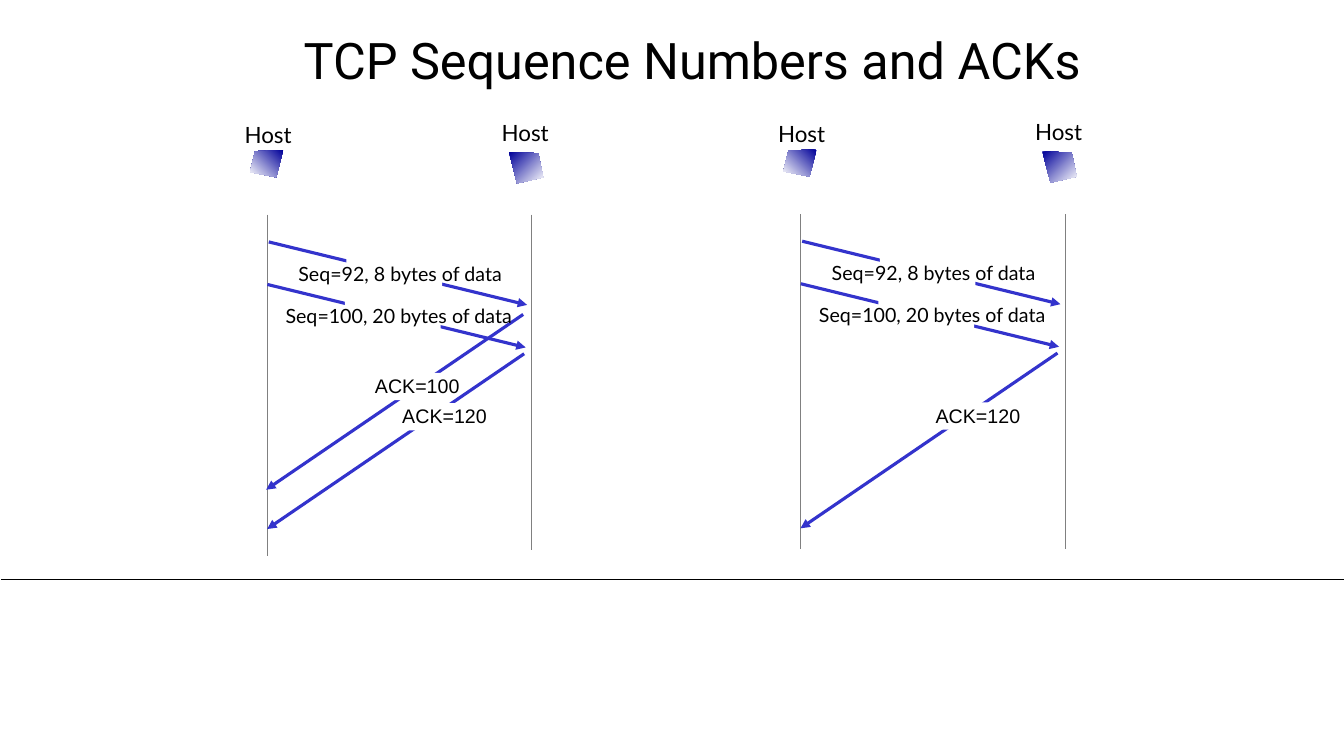
from dataclasses import dataclass

from lxml import etree
from pptx import Presentation
from pptx.dml.color import RGBColor
from pptx.enum import shapes, text
from pptx.oxml.ns import qn
from pptx.util import Pt


@dataclass(frozen=True)
class Theme:
    ink: RGBColor = RGBColor(0x00, 0x00, 0x00)
    paper: RGBColor = RGBColor(0xFF, 0xFF, 0xFF)
    lifeline: RGBColor = RGBColor(0x80, 0x80, 0x80)
    arrow: RGBColor = RGBColor(0x33, 0x33, 0xCC)
    host: RGBColor = RGBColor(0x00, 0x00, 0x99)
    title_font: str = "Roboto"
    body_font: str = "Lato"
    ack_font: str = "Arial"
    title_size: int = 36
    host_size: int = 16
    message_size: int = 14


THEME = Theme()
LABEL_H = 24

# Host icons: outline points of the left and right host in the first diagram
LEFT_HOST = [(202.3, 107.3), (182.2, 108), (178.6, 123), (197.3, 126.7)]
RIGHT_HOST = [(363.6, 108.7), (384.5, 109.4), (388.1, 126.7), (369.4, 131)]


def add_label(s, words, cx, top, w, h, font, size, wrap=False):
    """Centred text in a box whose middle is at cx."""
    sp = s.shapes.add_textbox(Pt(cx - w / 2), Pt(top), Pt(w), Pt(h))
    tf = sp.text_frame
    tf.word_wrap = wrap
    p = tf.paragraphs[0]
    p.text = words
    p.alignment = text.PP_ALIGN.CENTER
    p.font.name = font
    p.font.size = Pt(size)
    p.font.color.rgb = THEME.ink
    return tf


def add_line(s, x1, y1, x2, y2, color, width, arrow=False):
    sp = s.shapes.add_connector(
        shapes.MSO_CONNECTOR.STRAIGHT, Pt(x1), Pt(y1), Pt(x2), Pt(y2))
    sp.line.color.rgb = color
    sp.line.width = Pt(width)
    props = sp.element.spPr
    if arrow:
        etree.SubElement(props.find(qn("a:ln")), qn("a:tailEnd"), type="triangle")
    etree.SubElement(props, qn("a:effectLst"))


def add_gap(s, x, y, w, h):
    """White patch that interrupts an arrow behind its label."""
    sp = s.shapes.add_shape(
        shapes.MSO_SHAPE.RECTANGLE, Pt(x), Pt(y), Pt(w), Pt(h))
    sp.shadow.inherit = False
    sp.fill.solid()
    sp.fill.fore_color.rgb = THEME.paper
    sp.line.fill.background()


def add_host_icon(s, points, dx, dy, angle):
    corners = [(Pt(x + dx), Pt(y + dy)) for x, y in points]
    outline = s.shapes.build_freeform(*corners[0])
    outline.add_line_segments(corners[1:], close=True)
    sp = outline.convert_to_shape()
    sp.shadow.inherit = False
    sp.line.fill.background()
    sp.fill.gradient()
    sp.fill.gradient_angle = angle
    for stop, color in zip(sp.fill.gradient_stops, (THEME.host, THEME.paper)):
        stop.color.rgb = color


def add_segment(s, words, x, y, label_w):
    """Data segment from the left host to the right host."""
    add_line(s, x, y, x + 184.5, y + 45, THEME.arrow, 2.25, arrow=True)
    add_gap(s, x + 55.4, y + 6.5, 68.4, 31.7)
    add_label(s, words, x + 93.9, y + 10.4, label_w, LABEL_H,
              THEME.body_font, THEME.message_size)


def add_ack(s, words, x, y, gap_dx, gap_dy):
    """Acknowledgement from the right host back to the left host."""
    add_line(s, x, y, x - 183.6, y + 125.2, THEME.arrow, 2.25, arrow=True)
    gap_x, gap_y = x + gap_dx, y + gap_dy
    add_gap(s, gap_x, gap_y, 59, 19.4)
    add_label(s, words, gap_x + 31, gap_y - 2.9, 75, LABEL_H,
              THEME.ack_font, THEME.message_size)


def add_exchange(s, dx, dy, acks, left_end):
    """One diagram: two hosts, their lifelines and the messages between them."""
    # Hosts and lifelines
    for cx, top in ((375.2, 81.4), (191.6, 82.8)):
        add_label(s, "Host", cx + dx, top + dy, 58, 26.6,
                  THEME.body_font, THEME.host_size)
    for x, end in ((190.8, left_end), (379.8, 392.9)):
        add_line(s, x + dx, 153.4 + dy, x + dx, end + dy, THEME.lifeline, 0.75)

    # Messages
    for words, x, y, gap_dx, gap_dy in acks:
        add_ack(s, words, x + dx, y + dy, gap_dx, gap_dy)
    add_segment(s, "Seq=92, 8 bytes of data", 192 + dx, 172.8 + dy, 164)
    add_segment(s, "Seq=100, 20 bytes of data", 191 + dx, 203.2 + dy, 179)

    # Host icons
    add_host_icon(s, LEFT_HOST, dx, dy, 225)
    add_host_icon(s, RIGHT_HOST, dx, dy, 315)


def main():
    prs = Presentation()
    prs.slide_width, prs.slide_height = Pt(960), Pt(540)
    s = prs.slides.add_slide(prs.slide_layouts[6])

    # Rule and title
    add_line(s, 0.7, 414, 960, 414, THEME.ink, 0.5)
    tf = add_label(s, "TCP Sequence Numbers and ACKs", 494.6, 18.7, 672.5, 52.6,
                   THEME.title_font, THEME.title_size, wrap=True)
    tf.vertical_anchor = text.MSO_ANCHOR.MIDDLE
    tf.paragraphs[0].line_spacing = 0.9

    # Separate acknowledgements on the left, one cumulative on the right
    ack_100 = ("ACK=100", 373.7, 224.6, -106.6, 41.8)
    ack_120 = ("ACK=120", 374.4, 252.7, -87.8, 35.3)
    add_exchange(s, 0, 0, [ack_100, ack_120], 397.4)
    add_exchange(s, 381, -0.5, [ack_120], 392.9)

    prs.save("out.pptx")


if __name__ == "__main__":
    main()
